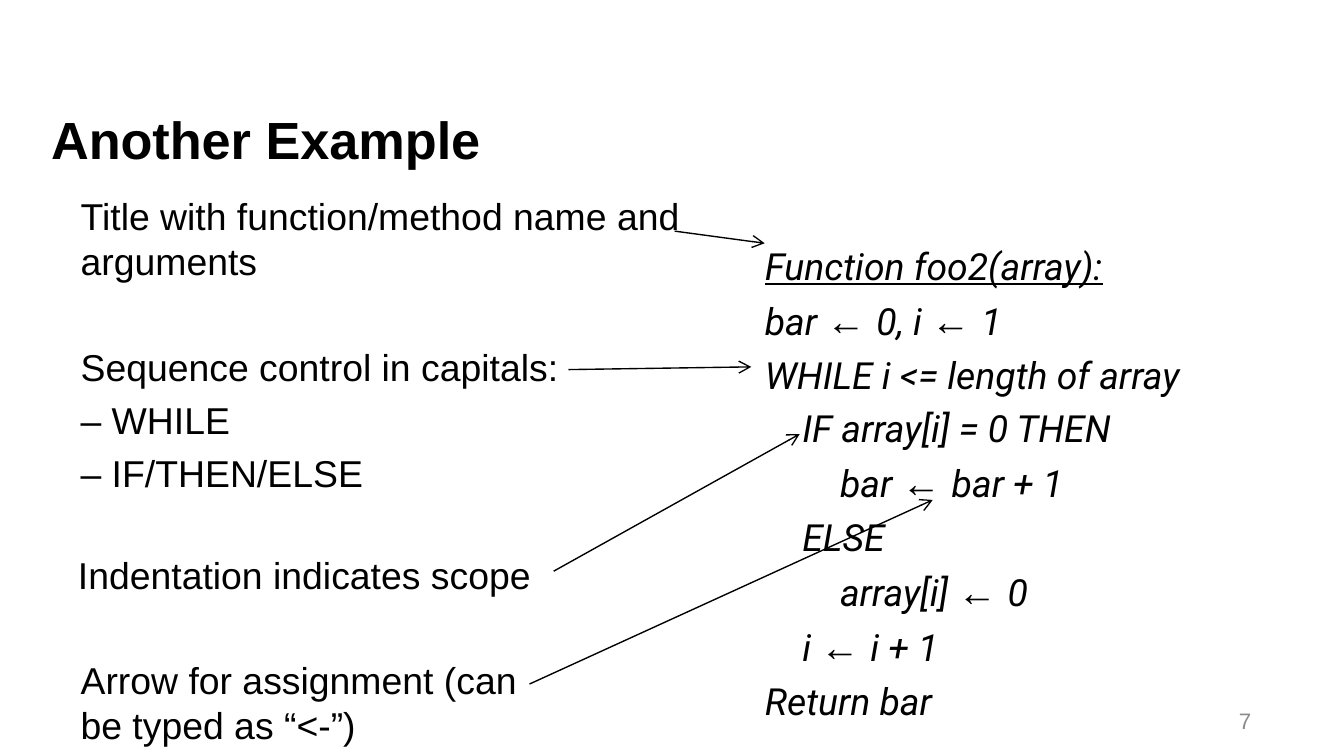
from pptx import Presentation
from pptx.dml.color import RGBColor
from pptx.enum.shapes import MSO_CONNECTOR
from pptx.enum.text import MSO_ANCHOR, PP_ALIGN
from pptx.oxml.ns import qn
from pptx.util import Inches, Pt
from lxml.etree import SubElement

SLIDE_WIDTH = 10
BLACK = "000000"
GRAY = "8C8C8C"
ASSIGN = "← "
INDENT = 0.28

NOTES = [
    ((0.6, 1.44, 4.78, 0.65), ["Title with function/method name and arguments"]),
    ((0.6, 2.56, 4.86, 1.07),
     ["Sequence control in capitals:", "– WHILE", "– IF/THEN/ELSE"]),
    ((0.58, 4.11, 4.05, 0.32), ["Indentation indicates scope"]),
    ((0.6, 4.89, 3.34, 0.65), ["Arrow for assignment (can be typed as “<-”)"]),
]
PSEUDOCODE = [
    (0, "Function foo2(array):"),
    (0, "bar ← 0, i ← 1"),
    (0, "WHILE i <= length of array"),
    (1, "IF array[i] = 0 THEN"),
    (2, "bar ← bar + 1"),
    (1, "ELSE"),
    (2, "array[i] ← 0"),
    (1, "i ← i + 1"),
    (0, "Return bar"),
]
POINTERS = [
    ((4.23, 2.75), (5.59, 2.73)),
    ((5.02, 1.72), (5.69, 1.81)),
    ((4.12, 4.25), (5.95, 3.23)),
    ((3.94, 5.09), (6.94, 3.72)),
]


def color(hex_value):
    return RGBColor.from_string(hex_value)


def add_run(paragraph, text, size=20, font="Arial", fill=BLACK,
            bold=False, italic=False, underline=False):
    run = paragraph.add_run()
    run.text = text
    run.font.size = Pt(size)
    run.font.name = font
    run.font.color.rgb = color(fill)
    run.font.bold = bold
    run.font.italic = italic
    run.font.underline = underline


def add_text(slide, box, lines, levels=None, align=PP_ALIGN.LEFT,
             anchor=MSO_ANCHOR.TOP, before=2.8, underline_first=False, **style):
    frame = slide.shapes.add_textbox(*map(Inches, box)).text_frame
    frame.word_wrap = True
    frame.vertical_anchor = anchor
    frame.margin_left = frame.margin_right = 0
    frame.margin_top = frame.margin_bottom = 0
    for index, line in enumerate(lines):
        paragraph = frame.add_paragraph() if index else frame.paragraphs[0]
        paragraph.alignment = align
        paragraph.space_before = Pt(before)
        if index:
            paragraph.line_spacing = 1.07
        if levels and levels[index]:
            margin = Inches(INDENT * levels[index])
            paragraph._p.get_or_add_pPr().set("marL", str(margin))
        for position, piece in enumerate(line.split(ASSIGN)):
            if position:
                add_run(paragraph, ASSIGN, size=21)
            add_run(paragraph, piece, underline=underline_first and index == 0, **style)


def add_pointer(slide, start, end):
    pointer = slide.shapes.add_connector(
        MSO_CONNECTOR.STRAIGHT, *map(Inches, start + end))
    pointer.line.color.rgb = color(BLACK)
    pointer.line.width = Pt(0.75)
    SubElement(pointer.line._get_or_add_ln(), qn("a:tailEnd"), type="arrow")
    SubElement(pointer._element.spPr, qn("a:effectLst"))


def main():
    deck = Presentation()
    deck.slide_width = Inches(SLIDE_WIDTH)
    deck.slide_height = Inches(SLIDE_WIDTH * 9 / 16)
    slide = deck.slides.add_slide(deck.slide_layouts[6])

    add_text(slide, (7.16, 5.21, 2.15, 0.3), ["7"], align=PP_ALIGN.RIGHT,
             anchor=MSO_ANCHOR.MIDDLE, before=0, size=12, fill=GRAY)
    add_text(slide, (0.38, 0.8, 9.21, 0.71), ["Another Example"],
             before=0, size=28, bold=True)
    for box, lines in NOTES:
        add_text(slide, box, lines)
    levels, code = zip(*PSEUDOCODE)
    add_text(slide, (5.69, 1.81, 3.85, 3.56), code, levels=levels,
             underline_first=True, font="Roboto", italic=True)
    for start, end in POINTERS:
        add_pointer(slide, start, end)

    deck.save("out.pptx")


if __name__ == "__main__":
    main()
